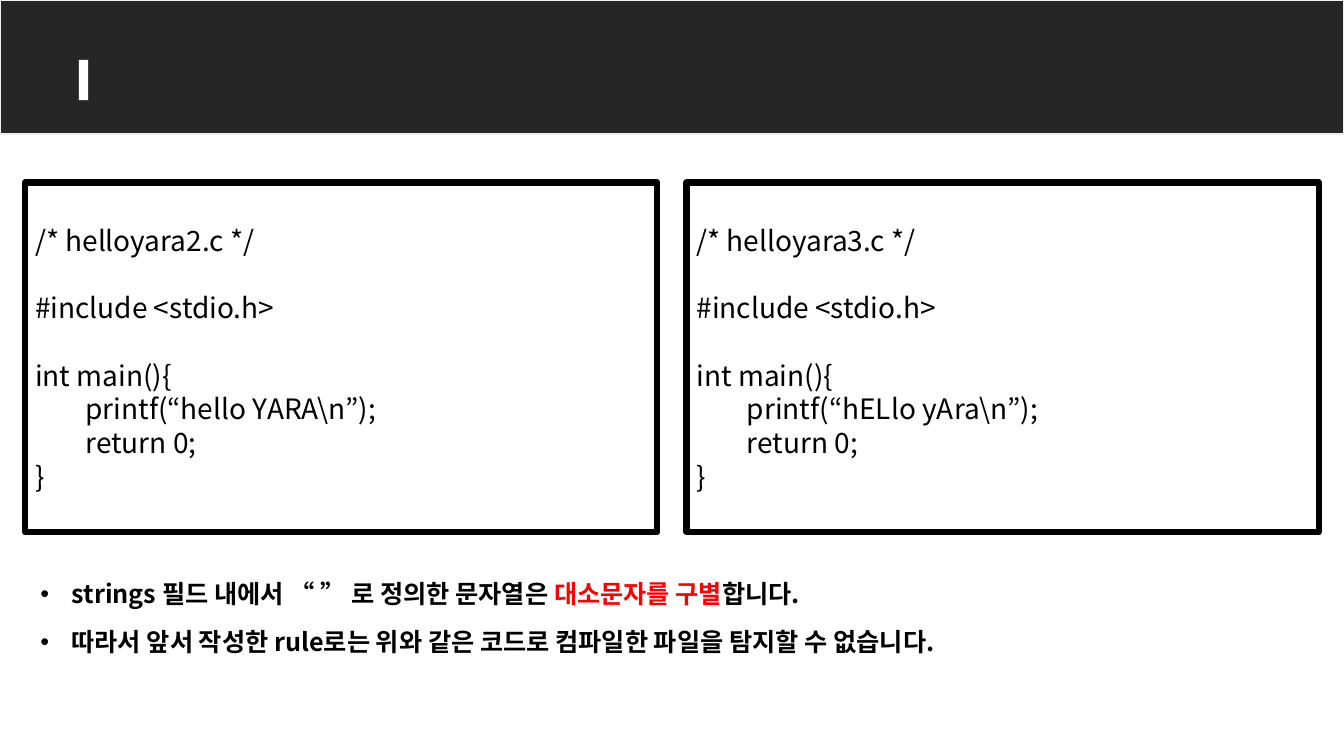
from lxml import etree
from pptx import Presentation
from pptx.dml.color import RGBColor
from pptx.enum.shapes import MSO_SHAPE
from pptx.enum.text import MSO_ANCHOR, MSO_AUTO_SIZE, PP_ALIGN
from pptx.oxml.ns import qn
from pptx.util import Inches, Pt

RECTANGLE = MSO_SHAPE.RECTANGLE
TOP = MSO_ANCHOR.TOP
NO_AUTOFIT = MSO_AUTO_SIZE.NONE
LEFT = PP_ALIGN.LEFT

FONT = "Noto Sans CJK KR"
COLORS = {
    "band": "262626",
    "band_edge": "EFEFEF",
    "marker": "FFFFFF",
    "marker_edge": "404040",
    "ink": "000000",
    "accent": "FF0000",
}
CODE_SIZE, CODE_PITCH = 20, 24
LIST_SIZE, LIST_PITCH, LIST_GAP = 18, 21.6, 12.6
HANGING = 0.31

# Each code line: text, indent level, blank lines above it
CODE_TEMPLATE = [
    ("/* {name} */", 0, 0),
    ("#include <stdio.h>", 0, 1),
    ("int main(){{", 0, 1),
    ("printf(“{greeting}\\n”);", 1, 0),
    ("return 0;", 1, 0),
    ("}}", 0, 0),
]
PROGRAMS = [
    {"name": "helloyara2.c", "greeting": "hello YARA"},
    {"name": "helloyara3.c", "greeting": "hELlo yAra"},
]
POINTS = [
    [("strings 필드 내에서 “ ” 로 정의한 문자열은 ", "ink"),
     ("대소문자를 구별", "accent"), ("합니다.", "ink")],
    [("따라서 앞서 작성한 rule로는 위와 같은 코드로 컴파일한 파일을 탐지할 수 없습니다.", "ink")],
]


def color(name):
    """Return the named colour."""
    return RGBColor.from_string(COLORS[name])


def add_rectangle(page, box, line, width, fill=None):
    """Add a flat rectangle at box (left, top, width, height)."""
    shape = page.shapes.add_shape(RECTANGLE, *map(Inches, box))
    shape.shadow.inherit = False
    if fill:
        shape.fill.solid()
        shape.fill.fore_color.rgb = color(fill)
    else:
        shape.fill.background()
    shape.line.color.rgb = color(line)
    shape.line.width = Pt(width)
    return shape


def add_span(para, text, size, color_name, bold=False):
    """Add one formatted run, with the font set for Latin and Korean."""
    span = para.add_run()
    span.text = text
    span.font.name = FONT
    span.font.size = Pt(size)
    span.font.bold = bold
    span.font.color.rgb = color(color_name)
    east_asian = etree.Element(qn("a:ea"), typeface=FONT)
    span.font._element.find(qn("a:latin")).addnext(east_asian)


def add_paragraph(frame, index, pitch, space_before):
    """Return the paragraph at index, left aligned with a fixed pitch."""
    para = frame.add_paragraph() if index else frame.paragraphs[0]
    para.alignment = LEFT
    para.line_spacing = Pt(pitch)
    para.space_before = Pt(space_before)
    para.space_after = Pt(0)
    return para


def set_indent(para, left, first=0):
    """Set the left margin and first-line indent in inches."""
    properties = para._p.get_or_add_pPr()
    properties.set("marL", str(Inches(left)))
    properties.set("indent", str(Inches(first)))
    return properties


def add_header(page, box):
    """Draw the dark band and its white marker."""
    left, top, _, _ = box
    add_rectangle(page, box, "band_edge", 1, "band")
    add_rectangle(page, (left + 0.78, top + 0.59, 0.1, 0.41),
                  "marker_edge", 1, "marker")


def add_code_panel(page, box, program):
    """Draw a framed listing of one program."""
    frame = add_rectangle(page, box, "ink", 4.5).text_frame
    frame.word_wrap = True
    frame.vertical_anchor = TOP
    frame.margin_top = Inches(0.41)
    for index, (text, level, blanks) in enumerate(CODE_TEMPLATE):
        para = add_paragraph(frame, index, CODE_PITCH, blanks * CODE_PITCH)
        set_indent(para, level * 0.5)
        add_span(para, text.format(**program), CODE_SIZE, "ink")


def add_code_panels(page, box, gap):
    """Split the box into equal columns, one program in each."""
    left, top, width, height = box
    count = len(PROGRAMS)
    column = (width - gap * (count - 1)) / count
    for index, program in enumerate(PROGRAMS):
        column_left = left + index * (column + gap)
        add_code_panel(page, (column_left, top, column, height), program)


def fill_points(body, box):
    """Place the body placeholder and write the bulleted points."""
    body.left, body.top, body.width, body.height = map(Inches, box)
    frame = body.text_frame
    frame.word_wrap = True
    frame.auto_size = NO_AUTOFIT
    frame.vertical_anchor = TOP
    for index, spans in enumerate(POINTS):
        para = add_paragraph(frame, index, LIST_PITCH, LIST_GAP * bool(index))
        properties = set_indent(para, HANGING, -HANGING)
        etree.SubElement(properties, qn("a:buFont"), typeface="Arial")
        etree.SubElement(properties, qn("a:buChar"), char="•")
        for text, color_name in spans:
            add_span(para, text, LIST_SIZE, color_name, bold=True)


def build_code_slide(deck):
    """Build the slide with two listings and the points below."""
    page = deck.slides.add_slide(deck.slide_layouts[1])
    title = page.shapes.title
    title._element.getparent().remove(title._element)
    add_header(page, (0, 0, 13.33, 1.33))
    add_code_panels(page, (0.25, 1.81, 12.83, 3.47), gap=0.29)
    fill_points(page.placeholders[1], (0.3, 5.69, 10.4, 0.89))


deck = Presentation()
deck.slide_width = Inches(13.33)
deck.slide_height = Inches(7.5)
build_code_slide(deck)
deck.save("out.pptx")
